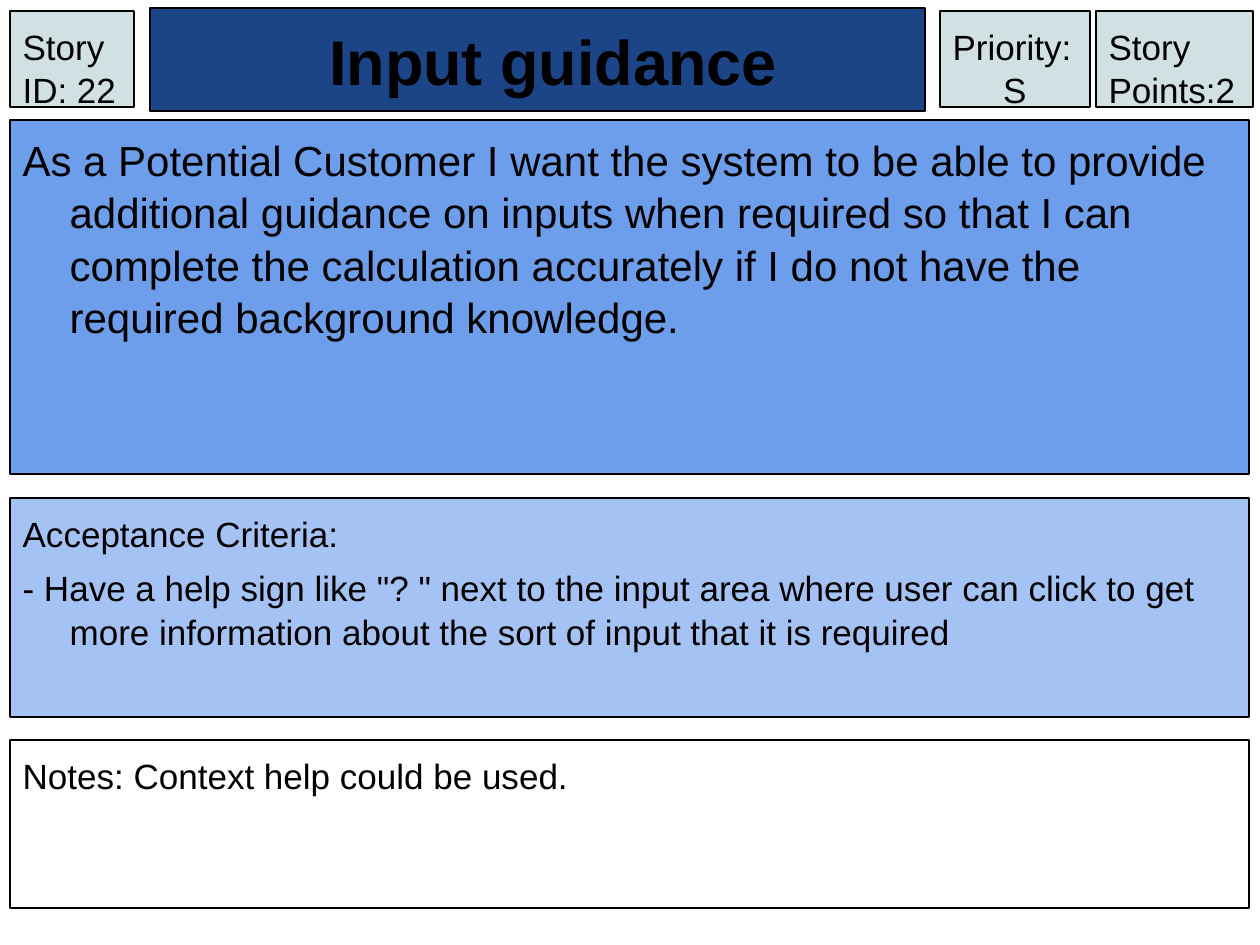
"""Build a user story card slide."""
import pptx
import pptx.dml.color
import pptx.enum.shapes
import pptx.enum.text
import pptx.util

PX = 914400 // 126
INSET = 12.6
LEFT, WIDTH = 10, 1239
CARD_TOP, CARD_HEIGHT = 11, 96
ALIGN = pptx.enum.text.PP_ALIGN
ANCHOR = pptx.enum.text.MSO_ANCHOR

TITLE = "Input guidance"
SECTIONS = [
    (1, 120, 367, "6D9EEB", 24, [
        "As a Potential Customer I want the system to be able to provide "
        "additional guidance on inputs when required so that I can complete "
        "the calculation accurately if I do not have the required background "
        "knowledge."]),
    (2, 498, 232, "A4C2F4", 20, [
        "Acceptance Criteria:",
        "- Have a help sign like \"? \" next to the input area where user can "
        "click to get more information about the sort of input that it is "
        "required"]),
    (4, 740, 180, None, 20, ["Notes: Context help could be used."]),
]
SECTIONS = [(idx, top, {1: 354, 2: 219, 4: 168}[idx], *rest)
            for idx, top, _, *rest in SECTIONS]
CARDS = [
    (10, 124, [("Story ID: 22", ALIGN.LEFT)]),
    (940, 150, [("Priority:", ALIGN.LEFT), ("S", ALIGN.CENTER)]),
    (1096, 157, [("Story Points:2", ALIGN.LEFT)]),
]


def px(n):
    return pptx.util.Emu(round(n * PX))


def rgb(value):
    return pptx.dml.color.RGBColor.from_string(value)


def style_box(sp, left, top, width, height, fill, anchor=ANCHOR.TOP):
    sp.left, sp.top, sp.width, sp.height = map(px, (left, top, width, height))
    if fill:
        sp.fill.solid()
        sp.fill.fore_color.rgb = rgb(fill)
    else:
        sp.fill.background()
    sp.line.color.rgb = rgb("000000")
    sp.line.width = pptx.util.Pt(0.75)
    tf = sp.text_frame
    tf.word_wrap = True
    tf.auto_size = pptx.enum.text.MSO_AUTO_SIZE.NONE
    tf.vertical_anchor = anchor
    tf.margin_left = tf.margin_right = tf.margin_top = tf.margin_bottom = px(INSET)
    return tf


def add_text(tf, text, first=True, size=20, bold=False, align=ALIGN.LEFT,
             margin=0, indent=0, before=0):
    p = tf.paragraphs[0] if first else tf.add_paragraph()
    p.alignment = align
    p.space_before = pptx.util.Pt(before)
    p.line_spacing = 1.04
    pPr = p._p.get_or_add_pPr()
    pPr.set("marL", str(px(margin)))
    pPr.set("indent", str(px(indent)))
    pPr.get_or_add_defRPr().addprevious(
        pptx.oxml.parse_xml('<a:buNone xmlns:a="%s"/>' % pPr.nsmap["a"]))
    r = p.add_run()
    r.text = text
    r.font.name = "Arial"
    r.font.size = pptx.util.Pt(size)
    r.font.bold = bold
    r.font.color.rgb = rgb("000000")


prs = pptx.Presentation()
prs.slide_width, prs.slide_height = px(1260), px(945)
s = prs.slides.add_slide(prs.slide_layouts.get_by_name("Comparison"))
bodies = {sp.placeholder_format.idx: sp for sp in s.placeholders}

tf = style_box(s.shapes.title, 150, 8, 775, 103, "1C4587", ANCHOR.BOTTOM)
add_text(tf, TITLE, size=36, bold=True, align=ALIGN.CENTER, indent=31.5)

for idx, top, height, fill, size, lines in SECTIONS:
    tf = style_box(bodies.pop(idx), LEFT, top, WIDTH, height, fill)
    for i, line in enumerate(lines):
        add_text(tf, line, first=i == 0, size=size, margin=47, indent=-47, before=6)

for left, width, lines in CARDS:
    sp = s.shapes.add_shape(pptx.enum.shapes.MSO_SHAPE.RECTANGLE, 0, 0, 0, 0)
    sp.shadow.inherit = False
    tf = style_box(sp, left, CARD_TOP, width, CARD_HEIGHT, "D0E0E3")
    for i, (line, align) in enumerate(lines):
        add_text(tf, line, first=i == 0, align=align)

for idx, sp in bodies.items():
    if idx:
        sp.element.getparent().remove(sp.element)

prs.save("out.pptx")
